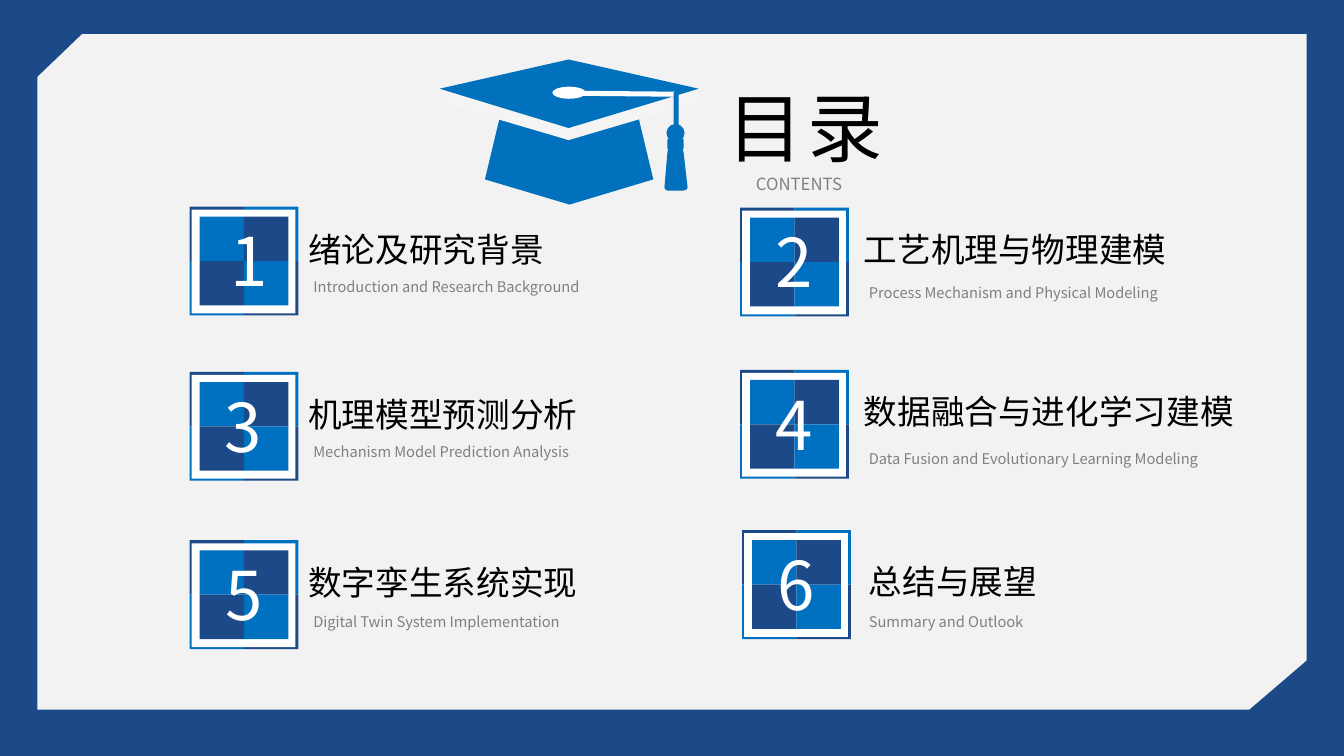
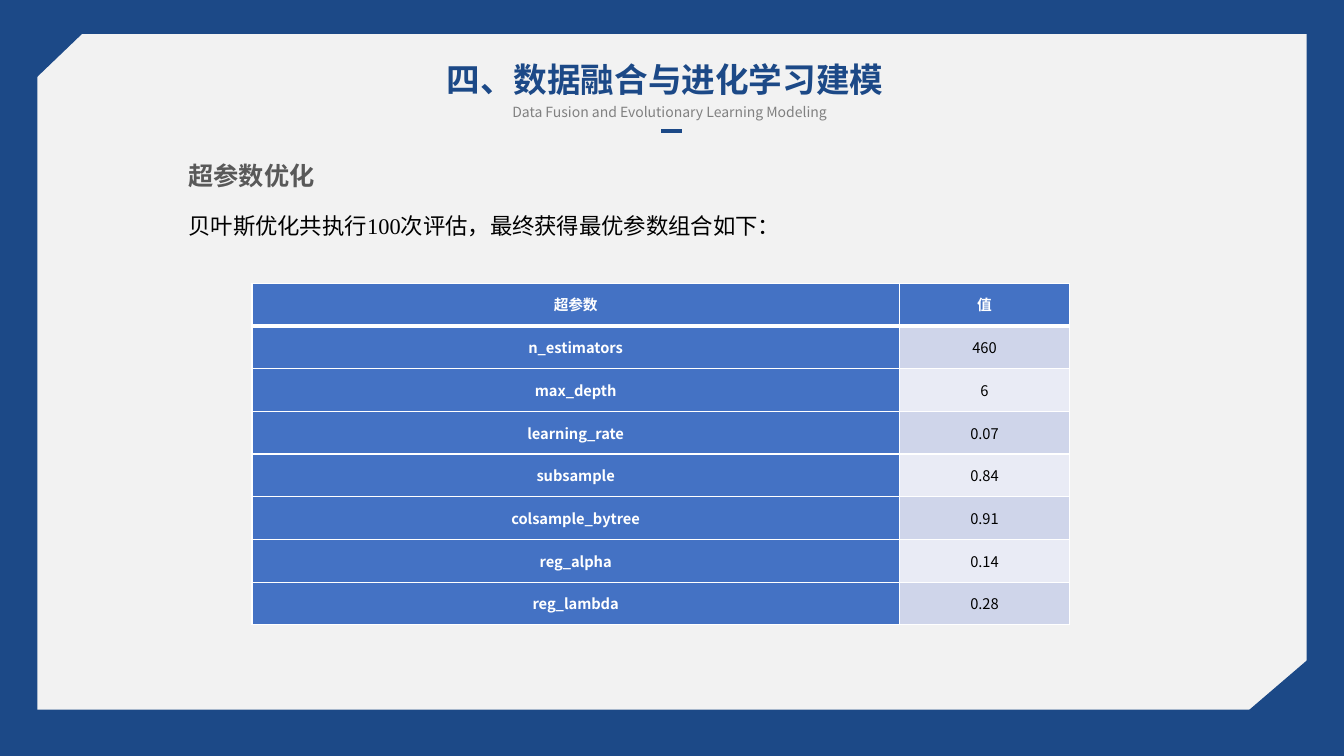
"""Build the contents slide and the hyperparameter slide of a thesis defence."""
from dataclasses import dataclass
from typing import NamedTuple

from lxml import etree
from pptx import Presentation
from pptx import util as u
from pptx.dml import color as dml
from pptx.enum import shapes, text
from pptx.oxml import ns

PX = 9144
COLORS = {
    "navy": "1C4987", "blue": "0070C0", "cap": "0170BD", "rim": "F4F4F4",
    "panel": "F2F2F2", "white": "FFFFFF", "black": "000000", "gray": "808080",
    "heading": "595959", "header": "4472C4", "odd": "CFD5EA", "even": "E9EBF5",
}
SANS = "Noto Sans CJK SC"
LEFT, CENTER = text.PP_ALIGN.LEFT, text.PP_ALIGN.CENTER
RECT, OVAL = shapes.MSO_SHAPE.RECTANGLE, shapes.MSO_SHAPE.OVAL
ROUNDED = shapes.MSO_SHAPE.ROUNDED_RECTANGLE


class Box(NamedTuple):
    """Left, top, width and height in px."""
    left: int
    top: int
    width: int
    height: int


@dataclass(frozen=True)
class Style:
    """Look of one line of text."""
    size: float
    color: str
    align: text.PP_ALIGN = LEFT
    bold: bool = False
    leading: float = 1.0
    tracking: int = 0
    latin: str = SANS
    wrap: bool = True


@dataclass(frozen=True)
class Chapter:
    """One numbered entry of the contents."""
    number: str
    name: str
    gloss: str
    tile: tuple[int, int]
    name_at: tuple[int, int]
    gloss_at: tuple[int, int]
    digit_width: int = 57


class Corner(NamedTuple):
    """A rotated block that cuts a corner of the panel."""
    box: Box
    angle: float


class Piece(NamedTuple):
    """One preset part of the graduation cap."""
    kind: shapes.MSO_SHAPE
    box: Box
    color: str


class Outline(NamedTuple):
    """One polygonal part of the graduation cap."""
    points: list[tuple[int, int]]
    color: str


CONTENTS_TITLE = Style(54, "black", CENTER, tracking=300)
CONTENTS_GLOSS = Style(12, "gray", CENTER, leading=1.5)
DIGIT = Style(48, "white", CENTER, wrap=False)
NAME = Style(24, "black")
GLOSS = Style(10.5, "gray", leading=1.5)
SECTION_TITLE = Style(24, "navy", CENTER, bold=True)
SECTION_GLOSS = Style(10, "gray", CENTER, leading=1.5)
HEADING = Style(18, "heading", CENTER, bold=True, leading=1.2)
BODY = Style(16, "black", latin="Times New Roman", wrap=False)
KEY_CELL = Style(10.5, "white", CENTER, bold=True)
VALUE_CELL = Style(10.5, "black", CENTER)

PANEL = Box(37, 34, 1259, 670)
CORNERS = [Corner(Box(-12, -41, 80, 139), 46.2), Corner(Box(1252, 633, 85, 161), 49.4)]

CAP_OUTLINES = [
    Outline([(648, 178), (565, 203), (481, 178), (498, 107), (631, 107)], "cap"),
    Outline([(693, 88), (564, 59), (435, 88), (435, 101), (564, 139), (693, 101)], "rim"),
    Outline([(564, 127), (436, 88), (564, 59), (693, 88)], "cap"),
    Outline([(559, 92), (562, 90), (670, 91), (672, 94), (668, 96), (561, 95)], "white"),
    Outline([(682, 186), (681, 188), (678, 189), (662, 189), (660, 188), (659, 186),
             (662, 151), (663, 148), (665, 147), (675, 147), (677, 148), (678, 151)], "cap"),
]
CAP_PIECES = [
    Piece(ROUNDED, Box(668, 91, 5, 38), "cap"),
    Piece(OVAL, Box(661, 123, 18, 18), "cap"),
    Piece(ROUNDED, Box(662, 137, 16, 12), "cap"),
    Piece(OVAL, Box(548, 86, 33, 12), "white"),
]

CHAPTERS = [
    Chapter("1", "绪论及研究背景", "Introduction and Research Background",
            (188, 205), (296, 222), (301, 262), 45),
    Chapter("2", "工艺机理与物理建模", "Process Mechanism and Physical Modeling",
            (734, 206), (847, 222), (852, 268)),
    Chapter("3", "机理模型预测分析", "Mechanism Model Prediction Analysis",
            (188, 369), (296, 386), (301, 426)),
    Chapter("4", "数据融合与进化学习建模", "Data Fusion and Evolutionary Learning Modeling",
            (734, 367), (847, 383), (852, 433)),
    Chapter("5", "数字孪生系统实现", "Digital Twin System Implementation",
            (188, 536), (296, 553), (301, 594), 60),
    Chapter("6", "总结与展望", "Summary and Outlook",
            (736, 526), (852, 552), (852, 594), 60),
]

HYPERPARAMETERS = [
    ("超参数", "值"), ("n_estimators", "460"), ("max_depth", "6"), ("learning_rate", "0.07"),
    ("subsample", "0.84"), ("colsample_bytree", "0.91"), ("reg_alpha", "0.14"),
    ("reg_lambda", "0.28"),
]


def emu(box: Box) -> list[int]:
    """Turn px into EMU."""
    return [length * PX for length in box]


def rgb(name: str) -> dml.RGBColor:
    """Look up a colour."""
    return dml.RGBColor.from_string(COLORS[name])


def paint(shape, color: str) -> None:
    """Give a shape a plain fill without line or shadow."""
    shape.shadow.inherit = False
    shape.fill.solid()
    shape.fill.fore_color.rgb = rgb(color)
    shape.line.fill.background()


def add_block(parent, kind: shapes.MSO_SHAPE, box: Box, color: str):
    """Draw a plain preset shape."""
    block = parent.add_shape(kind, *emu(box))
    paint(block, color)
    return block


def write(frame, words: str, style: Style) -> None:
    """Set and format one paragraph."""
    frame.text = words
    paragraph = frame.paragraphs[0]
    paragraph.alignment = style.align
    paragraph.line_spacing = style.leading
    for run in paragraph.runs:
        run.font.size = u.Pt(style.size)
        run.font.bold = style.bold
        run.font.color.rgb = rgb(style.color)
        run.font.name = style.latin
        properties = run._r.get_or_add_rPr()
        etree.SubElement(properties, ns.qn("a:ea"), typeface=SANS)
        if style.tracking:
            properties.set("spc", str(style.tracking))


def fit(frame, style: Style) -> None:
    """Anchor a frame at the top and let it grow with its text."""
    frame.word_wrap = style.wrap
    frame.auto_size = text.MSO_AUTO_SIZE.SHAPE_TO_FIT_TEXT
    frame.vertical_anchor = text.MSO_ANCHOR.TOP


def add_text(parent, box: Box, words: str, style: Style) -> None:
    """Add a text box."""
    frame = parent.add_textbox(*emu(box)).text_frame
    fit(frame, style)
    write(frame, words, style)


def set_title(slide, box: Box, words: str, style: Style) -> None:
    """Move and format the title placeholder."""
    title = slide.shapes.title
    title.left, title.top, title.width, title.height = emu(box)
    fit(title.text_frame, style)
    write(title.text_frame, words, style)


def frame_master(master, slide) -> None:
    """Put the background, panel and cut corners on the slide master."""
    master.background.fill.solid()
    master.background.fill.fore_color.rgb = rgb("navy")
    parts = [add_block(slide.shapes, RECT, PANEL, "panel")]
    for corner in CORNERS:
        block = add_block(slide.shapes, RECT, corner.box, "navy")
        block.rotation = corner.angle
        block.line.color.rgb = rgb("navy")
        block.line.width = u.Pt(1)
        parts.append(block)
    for number, part in enumerate(parts, start=101):
        part.element.nvSpPr.cNvPr.set("id", str(number))
        master.shapes.element.append(part.element)


def add_cap(slide) -> None:
    """Draw the graduation cap."""
    cap = slide.shapes.add_group_shape().shapes
    for outline in CAP_OUTLINES:
        start, *others = outline.points
        builder = cap.build_freeform(*start, scale=PX)
        builder.add_line_segments(others, close=True)
        paint(builder.convert_to_shape(), outline.color)
    for piece in CAP_PIECES:
        add_block(cap, *piece)


def add_checker(parent, left: int, top: int, side: int, first: str, second: str) -> None:
    """Draw two by two squares in alternating colours."""
    for row in range(2):
        for column in range(2):
            color = second if (row + column) % 2 else first
            add_block(parent, RECT, Box(left + column * side, top + row * side, side, side), color)


def add_chapter(slide, chapter: Chapter) -> None:
    """Draw a numbered tile with its two lines of text."""
    left, top = chapter.tile
    tile = slide.shapes.add_group_shape().shapes
    add_checker(tile, left, top, 54, "navy", "blue")
    add_block(tile, RECT, Box(left + 2, top + 3, 103, 103), "white")
    add_checker(tile, left + 10, top + 10, 44, "blue", "navy")
    digit_left = left + 54 - (chapter.digit_width + 1) // 2
    add_text(tile, Box(digit_left, top + 8, chapter.digit_width, 91), chapter.number, DIGIT)
    add_text(slide.shapes, Box(*chapter.name_at, 391, 50), chapter.name, NAME)
    add_text(slide.shapes, Box(*chapter.gloss_at, 386, 33), chapter.gloss, GLOSS)


def set_borders(cell, top: int, bottom: int) -> None:
    """Give a cell white borders with widths in points."""
    properties = cell._tc.get_or_add_tcPr()
    for side, width in (("L", 1), ("R", 1), ("T", top), ("B", bottom)):
        border = etree.SubElement(properties, ns.qn(f"a:ln{side}"), w=str(u.Pt(width)))
        fill = etree.SubElement(border, ns.qn("a:solidFill"))
        etree.SubElement(fill, ns.qn("a:srgbClr"), val=COLORS["white"])


def add_parameters(slide, box: Box, widths: list[int]) -> None:
    """Draw the hyperparameter table."""
    table = slide.shapes.add_table(len(HYPERPARAMETERS), len(widths), *emu(box)).table
    table.horz_banding = False
    for column, width in zip(table.columns, widths):
        column.width = width * PX
    for index, entry in enumerate(HYPERPARAMETERS):
        table.rows[index].height = box.height * PX // len(HYPERPARAMETERS)
        for column, words in enumerate(entry):
            cell = table.cell(index, column)
            is_key = index == 0 or column == 0
            set_borders(cell, 3 if index == 1 else 1, 3 if index == 0 else 1)
            cell.fill.solid()
            cell.fill.fore_color.rgb = rgb("header" if is_key else "odd" if index % 2 else "even")
            cell.margin_left = cell.margin_right = cell.margin_top = cell.margin_bottom = PX
            cell.vertical_anchor = text.MSO_ANCHOR.MIDDLE
            write(cell.text_frame, words, KEY_CELL if is_key else VALUE_CELL)


def build_contents(slide) -> None:
    """Fill the contents slide."""
    set_title(slide, Box(699, 75, 200, 101), "目录", CONTENTS_TITLE)
    add_cap(slide)
    add_text(slide.shapes, Box(734, 157, 117, 37), "CONTENTS", CONTENTS_GLOSS)
    for chapter in CHAPTERS:
        add_chapter(slide, chapter)


def build_optimisation(slide) -> None:
    """Fill the hyperparameter slide."""
    set_title(slide, Box(430, 53, 459, 50), "四、数据融合与进化学习建模", SECTION_TITLE)
    add_text(slide.shapes, Box(430, 89, 468, 32), CHAPTERS[3].gloss, SECTION_GLOSS)
    dash = slide.shapes.add_connector(
        shapes.MSO_CONNECTOR.STRAIGHT, 656 * PX, 130 * PX, 676 * PX, 130 * PX)
    dash.line.color.rgb = rgb("navy")
    dash.line.width = u.Pt(3)
    etree.SubElement(dash.element.spPr, ns.qn("a:effectLst"))
    add_parameters(slide, Box(250, 281, 811, 339), [642, 169])
    add_text(slide.shapes, Box(141, 148, 217, 43), "超参数优化", HEADING)
    add_text(slide.shapes, Box(177, 206, 615, 37),
             "贝叶斯优化共执行100次评估，最终获得最优参数组合如下：", BODY)


def main() -> None:
    """Build and save the slides."""
    deck = Presentation()
    deck.slide_width, deck.slide_height = 1333 * PX, 750 * PX
    title_only = deck.slide_layouts[5]
    contents, optimisation = (deck.slides.add_slide(title_only) for _ in range(2))
    frame_master(deck.slide_master, contents)
    build_contents(contents)
    build_optimisation(optimisation)
    deck.save("out.pptx")


if __name__ == "__main__":
    main()
